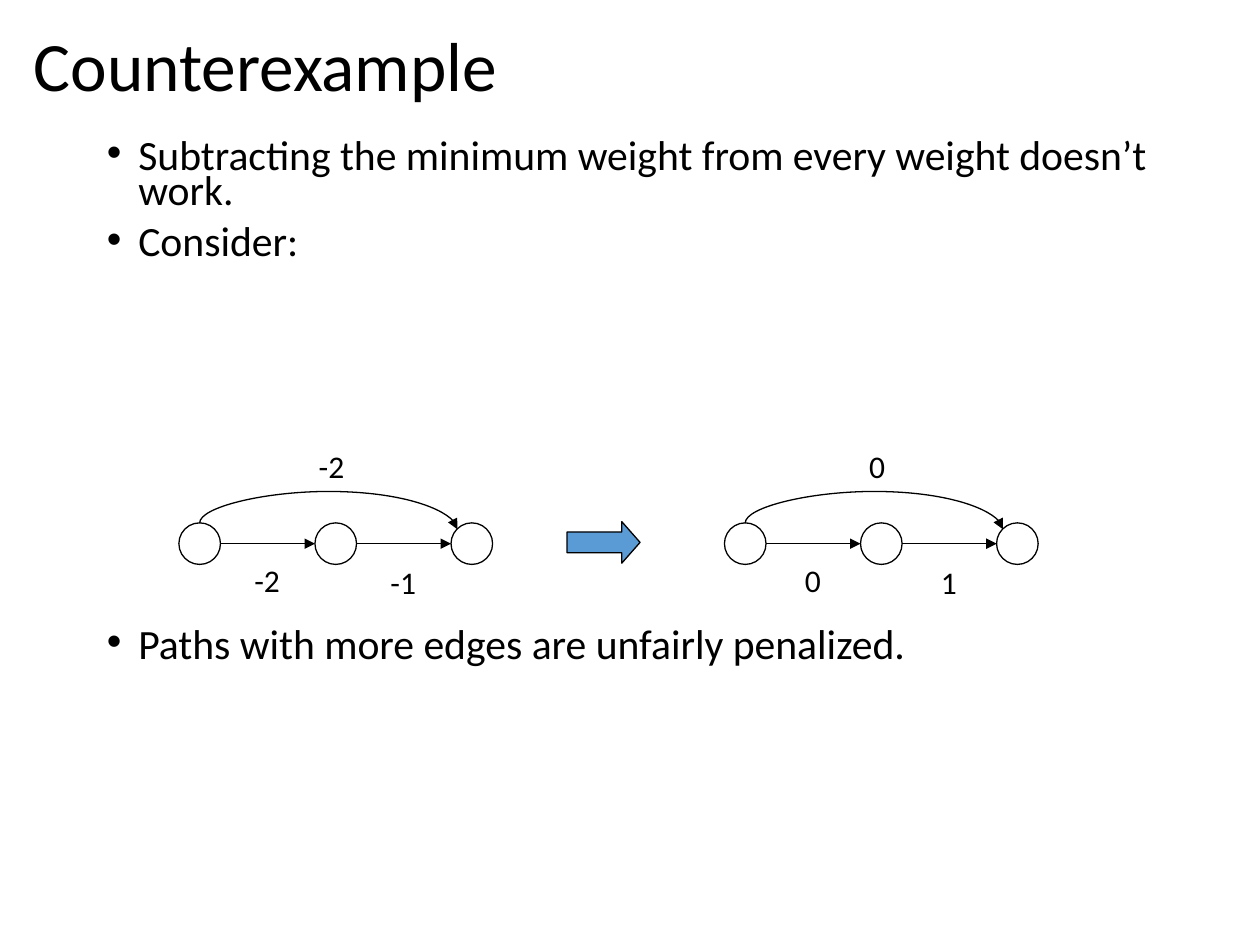
from lxml import etree
from pptx import Presentation
from pptx.dml.color import RGBColor
from pptx.enum.shapes import MSO_CONNECTOR, MSO_SHAPE
from pptx.enum.text import MSO_ANCHOR, PP_ALIGN
from pptx.oxml.ns import qn
from pptx.util import Inches, Pt

BLACK = RGBColor(0, 0, 0)
BLUE = RGBColor(0x5B, 0x9B, 0xD5)
STRAIGHT, CURVE = MSO_CONNECTOR.STRAIGHT, MSO_CONNECTOR.CURVE
OVAL, RIGHT_ARROW = MSO_SHAPE.OVAL, MSO_SHAPE.RIGHT_ARROW
LEFT, CENTER = PP_ALIGN.LEFT, PP_ALIGN.CENTER
TOP, MIDDLE = MSO_ANCHOR.TOP, MSO_ANCHOR.MIDDLE

NODE_SIZE = 0.33
NODE_STEP = 1.08
NODE_TOP = 4.15


def write(paragraph, text, size=18, align=LEFT, line_spacing=1.0, space_before=0, bullet=False):
    if bullet:
        properties = paragraph._p.get_or_add_pPr()
        properties.set("marL", str(Inches(0.25)))
        properties.set("indent", str(-Inches(0.25)))
        etree.SubElement(properties, qn("a:buFont")).set("typeface", "Arial")
        etree.SubElement(properties, qn("a:buChar")).set("char", "•")
    paragraph.alignment = align
    paragraph.line_spacing = line_spacing
    paragraph.space_before = Pt(space_before)
    run = paragraph.add_run()
    run.text = text
    run.font.name = "Calibri"
    run.font.size = Pt(size)
    run.font.color.rgb = BLACK


class SlideBuilder:
    def __init__(self, slide):
        self.shapes = slide.shapes
        self.ink = BLACK
        self.line_width = Pt(0.75)

    def text_frame(self, left, top, width, height, anchor=TOP, wrap=True):
        box = self.shapes.add_textbox(Inches(left), Inches(top), Inches(width), Inches(height))
        box.text_frame.word_wrap = wrap
        box.text_frame.vertical_anchor = anchor
        return box.text_frame

    def label(self, text, center, top):
        frame = self.text_frame(center - 0.21, top, 0.42, 0.4, wrap=False)
        write(frame.paragraphs[0], text, align=CENTER)

    def shape(self, kind, left, top, width, height, fill=None):
        shape = self.shapes.add_shape(kind, Inches(left), Inches(top), Inches(width), Inches(height))
        shape.shadow.inherit = False
        if fill is None:
            shape.fill.background()
        else:
            shape.fill.solid()
            shape.fill.fore_color.rgb = fill
        shape.line.color.rgb = self.ink
        shape.line.width = self.line_width
        return shape

    def arrow(self, x1, y1, x2, y2, kind=STRAIGHT):
        edge = self.shapes.add_connector(kind, Inches(x1), Inches(y1), Inches(x2), Inches(y2))
        edge.line.color.rgb = self.ink
        edge.line.width = self.line_width
        etree.SubElement(edge.line._get_or_add_ln(), qn("a:tailEnd")).set("type", "triangle")
        etree.SubElement(edge._element.spPr, qn("a:effectLst"))
        return edge

    def arc(self, x1, y1, x2, y2, rise):
        center_x, center_y = (x1 + x2) / 2, (y1 + y2) / 2
        half_span, half_drop = (x2 - x1) / 2, (y2 - y1) / 2
        edge = self.arrow(center_x - half_drop, center_y + half_span,
                          center_x + half_drop, center_y - half_span, CURVE)
        properties = edge._element.spPr
        properties.find(qn("a:xfrm")).set("rot", "5400000")
        guides = properties.find(qn("a:prstGeom")).get_or_add_avLst()
        guide = etree.SubElement(guides, qn("a:gd"))
        guide.set("name", "adj1")
        guide.set("fmla", f"val {round(-rise / (y2 - y1) * 100000)}")

    def graph(self, left, first_weight, second_weight, direct_weight):
        middle = NODE_TOP + NODE_SIZE / 2
        for index in range(3):
            self.shape(OVAL, left + index * NODE_STEP, NODE_TOP, NODE_SIZE, NODE_SIZE)
        for index in range(2):
            start = left + index * NODE_STEP
            self.arrow(start + NODE_SIZE, middle, start + NODE_STEP, middle)
        self.arc(left + NODE_SIZE / 2, NODE_TOP,
                 left + 2 * NODE_STEP + 0.05, NODE_TOP + 0.05, rise=0.25)
        self.label(first_weight, left + 0.7, 4.4)
        self.label(second_weight, left + 1.78, 4.42)
        self.label(direct_weight, left + 1.21, 3.5)


def main():
    presentation = Presentation()
    presentation.slide_width = Inches(10)
    presentation.slide_height = Inches(7.5)
    builder = SlideBuilder(presentation.slides.add_slide(presentation.slide_layouts[6]))

    title = builder.text_frame(0.17, 0.18, 9.62, 0.74, anchor=MIDDLE)
    write(title.paragraphs[0], "Counterexample", size=39.6, line_spacing=0.9)

    body = builder.text_frame(0.75, 1.08, 8.5, 4.95)
    points = [
        ("Subtracting the minimum weight from every weight doesn’t work.", 0),
        ("Consider:", 9.5),
        ("Paths with more edges are unfairly penalized.", 210),
    ]
    for index, (point, gap) in enumerate(points):
        paragraph = body.add_paragraph() if index else body.paragraphs[0]
        write(paragraph, point, size=23.8, line_spacing=0.7, space_before=gap, bullet=True)

    builder.graph(1.42, "-2", "-1", "-2")
    builder.graph(5.75, "0", "1", "0")
    transform = builder.shape(RIGHT_ARROW, 4.5, 4.14, 0.58, 0.33, fill=BLUE)
    transform.adjustments[1] = 0.44

    presentation.save("out.pptx")


if __name__ == "__main__":
    main()
